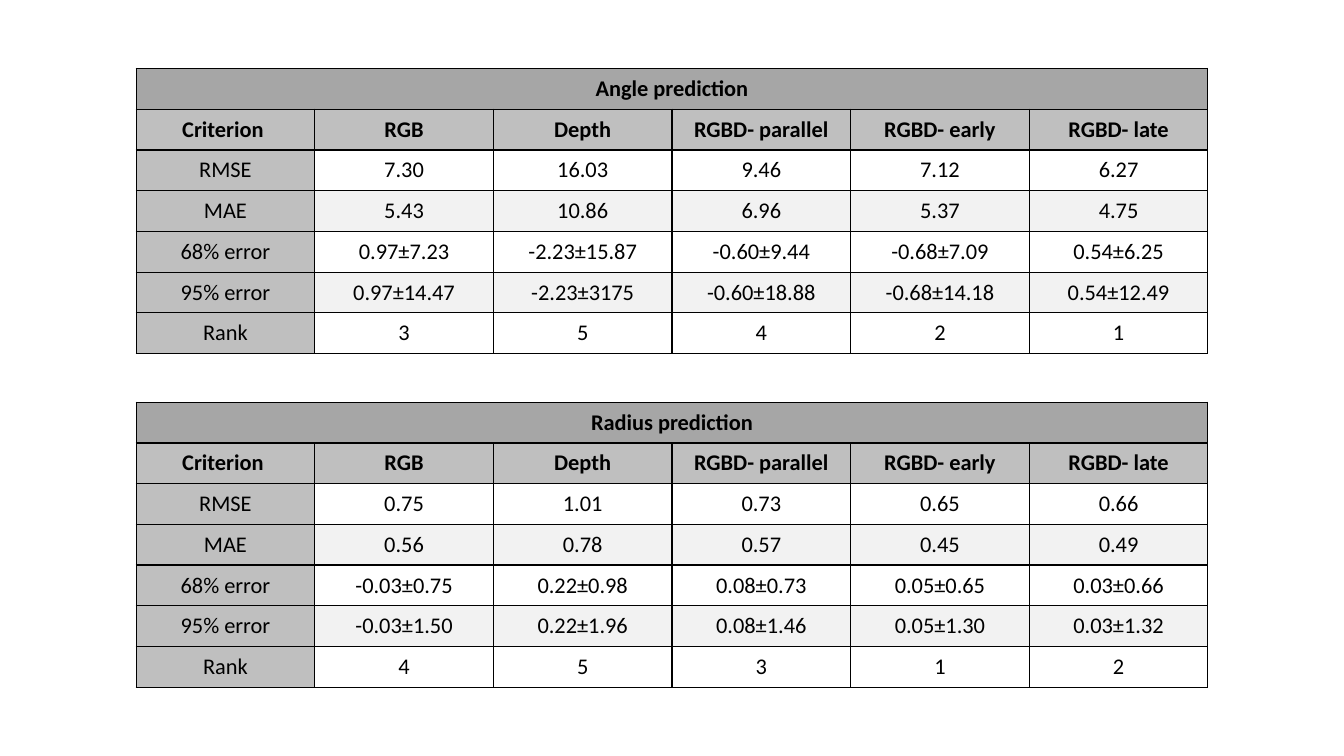
from dataclasses import dataclass

from lxml.etree import SubElement
from pptx import Presentation
from pptx.dml.color import RGBColor
from pptx.enum.text import MSO_ANCHOR, PP_ALIGN
from pptx.oxml.ns import qn
from pptx.util import Inches, Pt


@dataclass(frozen=True)
class Theme:
    """Colours, font and sizes shared by both tables."""
    font: str = "Calibri"
    size: int = 16
    border_width: int = 1
    ink: str = "000000"
    title_fill: str = "A6A6A6"
    label_fill: str = "BFBFBF"
    plain_fill: str = "FFFFFF"
    band_fill: str = "F2F2F2"


THEME = Theme()
HEADINGS = ["Criterion ", "RGB", "Depth", "RGBD- parallel", "RGBD- early", "RGBD- late"]
CRITERIA = ["RMSE", "MAE", "68% error", "95% error", "Rank"]
ANGLE_RESULTS = [
    ["7.30", "16.03", "9.46", "7.12", "6.27"],
    ["5.43", "10.86", "6.96", "5.37", "4.75"],
    ["0.97±7.23", "-2.23±15.87", "-0.60±9.44", "-0.68±7.09", "0.54±6.25"],
    ["0.97±14.47", "-2.23±3175", "-0.60±18.88", "-0.68±14.18", "0.54±12.49"],
    ["3", "5", "4", "2", "1"],
]
RADIUS_RESULTS = [
    ["0.75", "1.01", "0.73", "0.65", "0.66"],
    ["0.56", "0.78", "0.57", "0.45", "0.49"],
    ["-0.03±0.75", "0.22±0.98", "0.08±0.73", "0.05±0.65", "0.03±0.66"],
    ["-0.03±1.50", "0.22±1.96", "0.08±1.46", "0.05±1.30", "0.03±1.32"],
    ["4", "5", "3", "1", "2"],
]


def set_format(target, values):
    """Set each named attribute of the target."""
    for name, value in values.items():
        setattr(target, name, value)


def draw_borders(cell):
    """Draw a solid line on all four sides of a cell."""
    properties = cell._tc.get_or_add_tcPr()
    for side in ("a:lnL", "a:lnR", "a:lnT", "a:lnB"):
        line = SubElement(properties, qn(side), w=str(Pt(THEME.border_width)))
        fill = SubElement(line, qn("a:solidFill"))
        SubElement(fill, qn("a:srgbClr"), val=THEME.ink)


def cell_fill(row, column):
    """Choose the fill for a cell from its place in the table."""
    if row == 0:
        return THEME.title_fill
    if row == 1 or column == 0:
        return THEME.label_fill
    return THEME.band_fill if row % 2 else THEME.plain_fill


def paint_cell(cell, fill):
    """Border and fill one cell."""
    draw_borders(cell)
    cell.fill.solid()
    cell.fill.fore_color.rgb = RGBColor.from_string(fill)


def write_cell(cell, text, bold):
    """Write centred text in one cell."""
    cell.vertical_anchor = MSO_ANCHOR.MIDDLE
    para = cell.text_frame.paragraphs[0]
    para.alignment = PP_ALIGN.CENTER
    span = para.add_run()
    span.text = text
    set_format(span.font, {"name": THEME.font, "size": Pt(THEME.size), "bold": bold})
    span.font.color.rgb = RGBColor.from_string(THEME.ink)


def add_results_table(page, box, title, results):
    """Place a titled table of results in the given box."""
    body = [[name, *values] for name, values in zip(CRITERIA, results)]
    rows = [[title], HEADINGS, *body]
    frame = page.shapes.add_table(len(rows), len(HEADINGS), *map(Inches, box))
    table = frame.table
    for row, texts in enumerate(rows):
        for column in range(len(HEADINGS)):
            paint_cell(table.cell(row, column), cell_fill(row, column))
        for column, text in enumerate(texts):
            write_cell(table.cell(row, column), text, row < 2)
    title_cell = table.cell(0, 0)
    title_cell.merge(table.cell(0, len(HEADINGS) - 1))
    set_format(title_cell, {
        "margin_left": Inches(0.11), "margin_right": Inches(0.11),
        "margin_top": Inches(0.06), "margin_bottom": Inches(0.06),
    })


def main():
    """Build the slide with both prediction tables."""
    deck = Presentation()
    set_format(deck, {"slide_width": Inches(13.33), "slide_height": Inches(7.5)})
    page = deck.slides.add_slide(deck.slide_layouts[6])
    add_results_table(page, (1.35, 0.68, 10.63, 2.83), "Angle prediction", ANGLE_RESULTS)
    add_results_table(page, (1.35, 3.99, 10.63, 2.83), "Radius prediction", RADIUS_RESULTS)
    deck.save("out.pptx")


if __name__ == "__main__":
    main()
